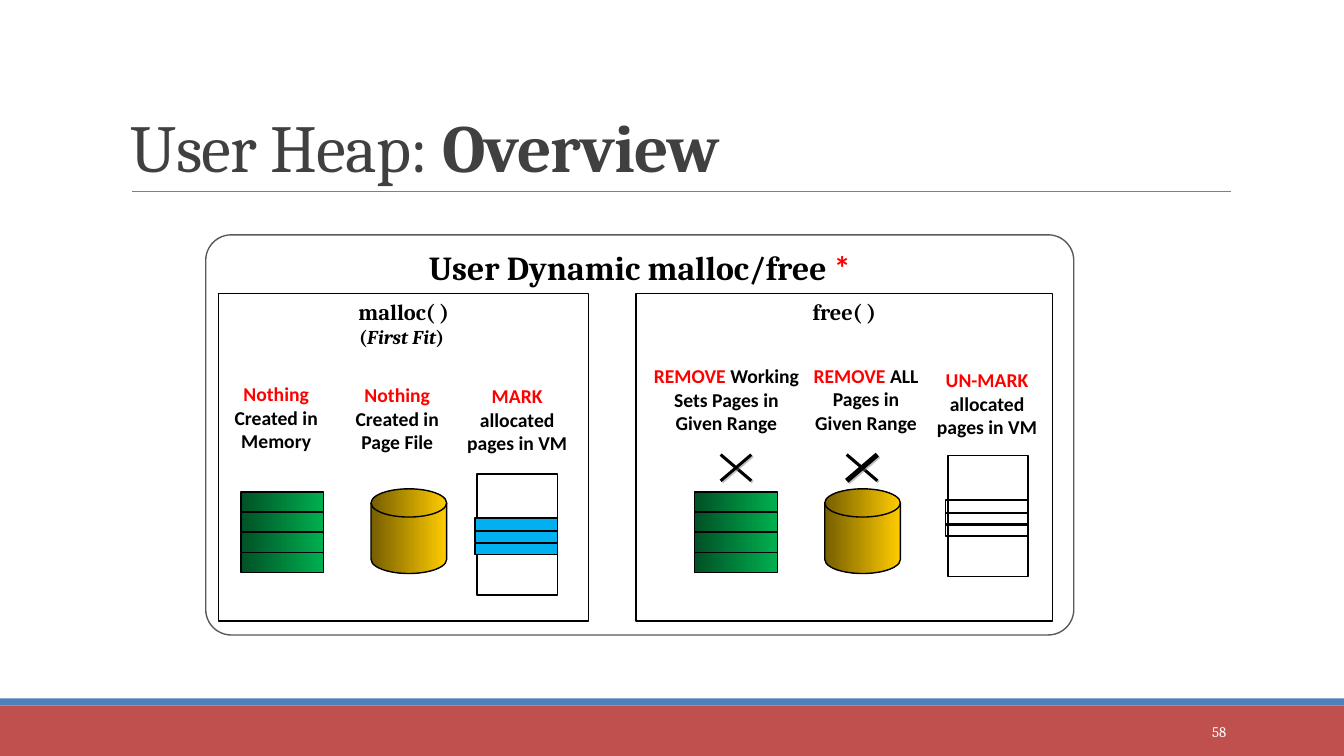
from pptx import Presentation
from pptx import util as u
from pptx.dml import color
from pptx.enum import shapes, text
from pptx.oxml import parse_xml
from pptx.oxml.ns import nsdecls

KIND = shapes.MSO_SHAPE
ALIGN = text.PP_ALIGN
BLACK, WHITE, RED = "000000", "FFFFFF", "FF0000"
GREEN, GOLD, BLUE = ("005125", "00B050"), ("765E00", "FFCC00"), "00B0F0"


def paint(value):
    return color.RGBColor.from_string(value)


def draw(slide, kind, left, top, wide, high, fill=None, line=BLACK, width=1):
    shape = slide.shapes.add_shape(kind, *map(u.Inches, (left, top, wide, high)))
    shape.shadow.inherit = False
    if fill is None:
        shape.fill.background()
    elif isinstance(fill, tuple):
        shape.fill.gradient()
        shape.fill.gradient_angle = 0
        for stop, value in zip(shape.fill.gradient_stops, fill):
            stop.color.rgb = paint(value)
    else:
        shape.fill.solid()
        shape.fill.fore_color.rgb = paint(fill)
    if line:
        shape.line.color.rgb = paint(line)
        shape.line.width = u.Pt(width)
    else:
        shape.line.fill.background()
    return shape


def setup(shape, anchor=text.MSO_ANCHOR.TOP, align=ALIGN.CENTER, inset=(0.1, 0.05), after=10):
    frame = shape.text_frame
    frame.word_wrap = True
    frame.vertical_anchor = anchor
    frame.margin_left = frame.margin_right = u.Inches(inset[0])
    frame.margin_top = frame.margin_bottom = u.Inches(inset[1])
    para = frame.paragraphs[0]
    para.alignment = align
    para.space_after = u.Pt(after)
    return para


def write(para, words, size, face="Cambria", ink=BLACK, bold=True, slant=False):
    run = para.add_run()
    run.text = words
    run.font.size = u.Pt(size)
    run.font.name = face
    run.font.bold = bold
    run.font.italic = slant
    run.font.color.rgb = paint(ink)
    return run


def textbox(slide, left, top, wide, high):
    return slide.shapes.add_textbox(*map(u.Inches, (left, top, wide, high)))


def label(slide, left, top, wide, high, lead, rest, inset=0.04):
    para = setup(textbox(slide, left, top, wide, high), inset=(inset, inset))
    write(para, lead, 14, "Calibri", RED)
    write(para, rest, 14, "Calibri")


def header(slide, left, top, wide, high):
    rule = slide.shapes.add_connector(
        shapes.MSO_CONNECTOR.STRAIGHT,
        *map(u.Inches, (left + 0.11, top + high, left + wide + 0.01, top + high)))
    rule.line.color.rgb = paint("808080")
    rule.line.width = u.Pt(0.5)
    rule._element.spPr.append(parse_xml("<a:effectLst %s/>" % nsdecls("a")))
    para = setup(textbox(slide, left, top, wide, high),
                 text.MSO_ANCHOR.BOTTOM, ALIGN.LEFT, after=0)
    para.line_spacing = 0.85
    for words, bold in (("User Heap: ", False), ("Overview", True)):
        run = write(para, words, 48, ink="404040", bold=bold)
        run._r.get_or_add_rPr().set("spc", "-50")


def footer(slide, left, top, wide, high):
    draw(slide, KIND.RECTANGLE, left, top, wide, high, "C0504D", None)
    draw(slide, KIND.RECTANGLE, left, top - 0.07, wide, 0.07, "4F81BD", None)
    para = setup(textbox(slide, left + 10.83, top + 0.06, 1.43, 0.4),
                 text.MSO_ANCHOR.MIDDLE, ALIGN.RIGHT, after=0)
    write(para, "58", 10.5, ink=WHITE, bold=False)


def frame(slide, left, top, wide, high):
    shape = draw(slide, KIND.ROUNDED_RECTANGLE, left, top, wide, high, WHITE, "5A5A5A")
    shape.adjustments[0] = 0.064
    para = setup(shape)
    write(para, "User Dynamic malloc/free ", 24)
    write(para, "*", 24, "Calibri", RED)


def panel(slide, left, top, wide, high, name):
    para = setup(draw(slide, KIND.RECTANGLE, left, top, wide, high, WHITE), inset=(0.02, 0.05))
    write(para, name, 16)
    return para


def store(slide, left, top):
    for row in range(4):
        draw(slide, KIND.RECTANGLE, left, top + 0.03 + row * 0.2, 0.82, 0.2, GREEN)
    draw(slide, KIND.FLOWCHART_MAGNETIC_DISK, left + 1.29, top, 0.75, 0.84, GOLD)


def space(slide, left, top, fill=None):
    draw(slide, KIND.RECTANGLE, left, top, 0.8, 1.2, width=1.25)
    for drop, high in ((0.44, 0.13), (0.57, 0.11), (0.69, 0.11)):
        draw(slide, KIND.RECTANGLE, left - 0.02, top + drop, 0.82, high, fill)


def cross(slide, left, top, heavy=0.03):
    for turn, high in ((40.5, 0.03), (319.5, heavy)):
        bar = draw(slide, KIND.RECTANGLE, left, top - high / 2, 0.4, high, BLACK, None)
        bar.rotation = turn
        bar._element.spPr.remove(bar._element.spPr.find(
            "{http://schemas.openxmlformats.org/drawingml/2006/main}effectLst"))
        bar._element.spPr.append(parse_xml(
            '<a:effectLst %s><a:outerShdw dist="17780" dir="2700000">'
            '<a:srgbClr val="7F7F7F"><a:alpha val="50000"/></a:srgbClr>'
            '</a:outerShdw></a:effectLst>' % nsdecls("a")))


def malloc(slide, left, top, wide, high):
    para = panel(slide, left, top, wide, high, "malloc( )")
    para.add_line_break()
    write(para, "(", 14)
    write(para, "First Fit", 14, slant=True)
    write(para, ") ", 14)
    store(slide, left + 0.22, top + 1.94)
    label(slide, left + 0.02, top + 0.84, 1.1, 0.94, "Nothing", " Created in Memory")
    label(slide, left + 1.13, top + 0.85, 1.28, 0.9, "Nothing", " Created in Page File")
    label(slide, left + 2.41, top + 0.86, 1.1, 0.94, "MARK", " allocated pages in VM")
    space(slide, left + 2.56, top + 1.79, BLUE)


def free(slide, left, top, wide, high):
    panel(slide, left, top, wide, high, "free( )")
    store(slide, left + 0.58, top + 1.94)
    cross(slide, left + 0.79, top + 1.73)
    cross(slide, left + 2.04, top + 1.73, 0.05)
    label(slide, left + 0.16, top + 0.7, 1.47, 1.09,
          "REMOVE ", "Working Sets Pages in Given Range", 0)
    label(slide, left + 1.71, top + 0.7, 1.14, 0.83,
          "REMOVE", " ALL Pages in Given Range", 0)
    label(slide, left + 2.93, top + 0.7, 1.1, 0.92, "UN-MARK", " allocated pages in VM")
    space(slide, left + 3.09, top + 1.61)


def main():
    deck = Presentation()
    deck.slide_width, deck.slide_height = u.Inches(13.33), u.Inches(7.5)
    slide = deck.slides.add_slide(deck.slide_layouts[6])
    footer(slide, 0, 7, 13.33, 0.5)
    header(slide, 1.2, 0.31, 11, 1.59)
    frame(slide, 2.04, 2.33, 8.61, 3.97)
    malloc(slide, 2.17, 2.91, 3.67, 3.25)
    free(slide, 6.31, 2.91, 4.13, 3.25)
    deck.save("out.pptx")


if __name__ == "__main__":
    main()
